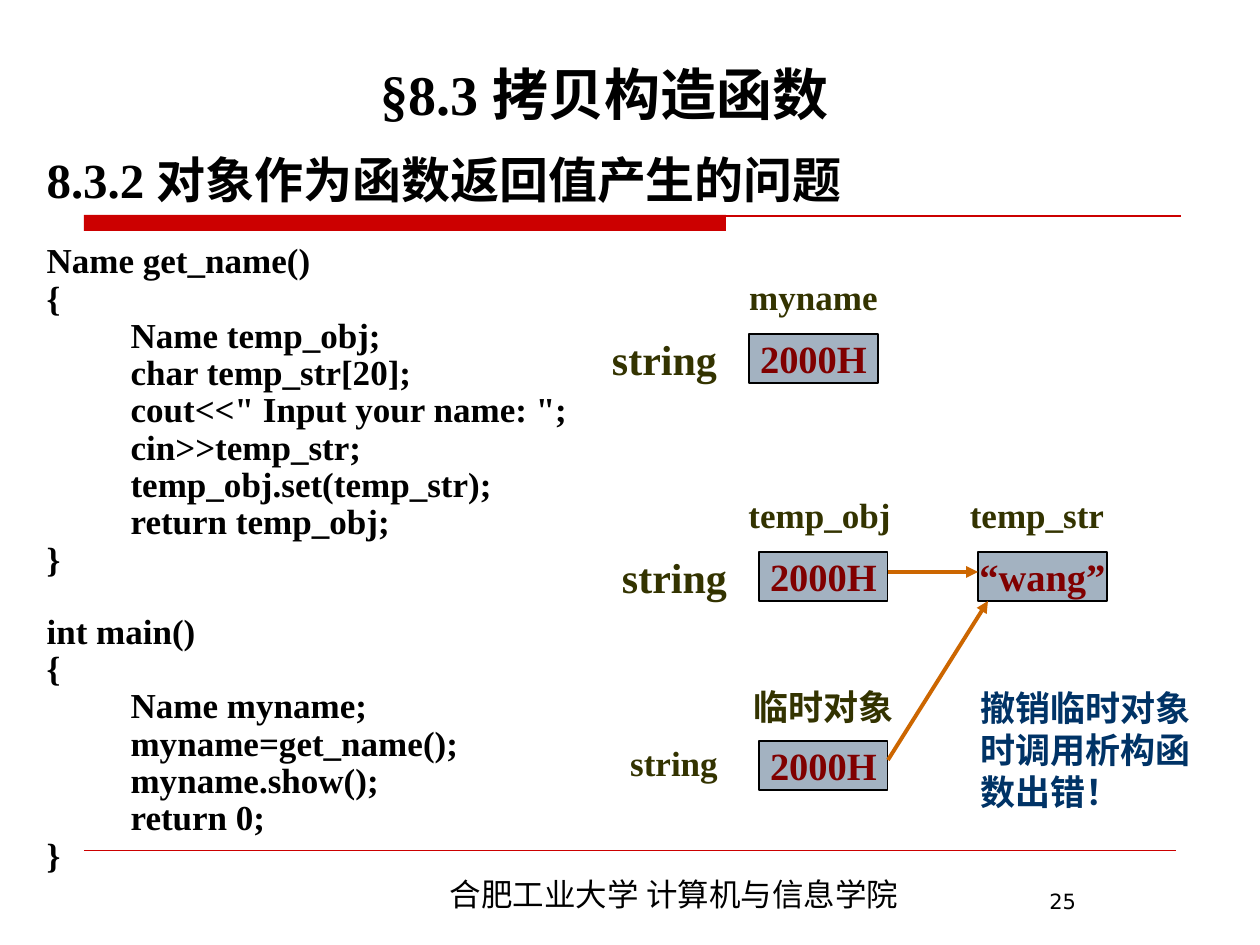
"""Build the slide on returning objects by value in C++."""
from lxml.etree import SubElement
from pptx import Presentation
from pptx.dml.color import RGBColor
from pptx.enum.shapes import MSO_CONNECTOR, MSO_SHAPE
from pptx.enum.text import MSO_ANCHOR, MSO_AUTO_SIZE, PP_ALIGN
from pptx.oxml.ns import qn
from pptx.util import Inches, Pt

PX = Inches(1) / 126
BLACK = RGBColor(0x00, 0x00, 0x00)
RED = RGBColor(0xCC, 0x00, 0x00)
OLIVE = RGBColor(0x33, 0x33, 0x00)
NAVY = RGBColor(0x00, 0x33, 0x66)
MAROON = RGBColor(0x80, 0x00, 0x00)
STEEL = RGBColor(0xA3, 0xB2, 0xC1)
ORANGE = RGBColor(0xCC, 0x66, 0x00)
SERIF = "Times New Roman"
CJK = "Noto Sans CJK SC"

HEADING = "8.3.2 对象作为函数返回值产生的问题"
CODE = """Name get_name()
{
\tName temp_obj;
\tchar temp_str[20];
\tcout<<" Input your name: ";
\tcin>>temp_str;
\ttemp_obj.set(temp_str);
\treturn temp_obj;
}

int main()
{
\tName myname;
\tmyname=get_name();
\tmyname.show();
\treturn 0;
}"""


def add_run(p, text, size, color, font=SERIF, bold=True):
    r = p.add_run()
    r.text = text
    r.font.size, r.font.bold, r.font.name = Pt(size), bold, font
    r.font.color.rgb = color
    SubElement(r._r.get_or_add_rPr(), qn("a:ea"), typeface=CJK)


def add_line(x1, y1, x2, y2, color, width, arrow=False):
    s = sp.add_connector(MSO_CONNECTOR.STRAIGHT, *[int(v * PX) for v in (x1, y1, x2, y2)])
    s.line.color.rgb, s.line.width = color, Pt(width)
    if arrow:
        SubElement(s.line._get_or_add_ln(), qn("a:tailEnd"), type="triangle")
    SubElement(s._element.spPr, qn("a:effectLst"))


prs = Presentation()
prs.slide_width, prs.slide_height = Inches(10), Inches(7.5)
s = prs.slides.add_slide(prs.slide_layouts[1])
sp = s.shapes
title, body = sp.title, s.placeholders[1]

bar = sp.add_shape(MSO_SHAPE.RECTANGLE, *[int(v * PX) for v in (84, 215, 642, 16)])
bar.shadow.inherit = False
bar.fill.solid()
bar.fill.fore_color.rgb = RED
bar.line.fill.background()
add_line(84, 216, 1181, 216, RED, 0.75)
add_line(84, 850, 1176, 850, RED, 0.25)

for ph, box in ((title, (74, 35, 1074, 98)), (body, (34, 155, 1200, 743))):
    ph.left, ph.top, ph.width, ph.height = [int(v * PX) for v in box]
    ph.text_frame.auto_size = MSO_AUTO_SIZE.NONE

title.text_frame.vertical_anchor = MSO_ANCHOR.BOTTOM
p = title.text_frame.paragraphs[0]
p.alignment = PP_ALIGN.CENTER
add_run(p, "§8.3 拷贝构造函数 ", 32, BLACK)

tf = body.text_frame
tf.vertical_anchor = MSO_ANCHOR.TOP
blocks = [[HEADING]] + [block.split("\n") for block in CODE.split("\n\n")]
for b, block in enumerate(blocks):
    for i, line in enumerate(block):
        p = tf.add_paragraph() if b else tf.paragraphs[0]
        pPr = p._p.get_or_add_pPr()
        pPr.set("marL", str(int(84 * PX) if line.startswith("\t") else 0))
        pPr.set("indent", "0")
        SubElement(pPr, qn("a:buNone"))
        p.line_spacing = 0.8
        p.space_before = Pt(0 if not b else 2.1 if i else 22)
        add_run(p, line.strip(), 20 if b else 28, BLACK)

boxes = [
    (749, 334, "2000H"),
    (759, 552, "2000H"),
    (978, 552, "“wang”"),
    (759, 741, "2000H"),
]
for x, y, text in boxes:
    box = sp.add_shape(MSO_SHAPE.RECTANGLE, *[int(v * PX) for v in (x, y, 129, 49)])
    box.shadow.inherit = False
    box.fill.solid()
    box.fill.fore_color.rgb = STEEL
    box.line.color.rgb, box.line.width = BLACK, Pt(0.75)
    tf = box.text_frame
    tf.margin_left = tf.margin_right = tf.margin_top = tf.margin_bottom = 0
    tf.word_wrap = False
    tf.vertical_anchor = MSO_ANCHOR.MIDDLE
    p = tf.paragraphs[0]
    p.alignment = PP_ALIGN.CENTER
    add_run(p, text, 22, MAROON)

add_line(888, 572, 978, 572, ORANGE, 2.25, True)
add_line(888, 760, 988, 601, ORANGE, 2.25, True)

labels = [
    (749, 275, 129, 42, "myname", 20),
    (600, 334, 129, 50, "string", 24),
    (740, 493, 159, 42, "temp_obj", 20),
    (610, 552, 129, 50, "string", 24),
    (968, 493, 138, 42, "temp_str", 20),
    (540, 741, 268, 42, "string", 20),
    (741, 686, 165, 50, "临时对象", 20),
]
for x, y, w, h, text, size in labels:
    tf = sp.add_textbox(*[int(v * PX) for v in (x, y, w, h)]).text_frame
    tf.margin_left = tf.margin_right = tf.margin_top = tf.margin_bottom = 0
    tf.word_wrap = True
    p = tf.paragraphs[0]
    p.alignment = PP_ALIGN.CENTER
    add_run(p, text, size, OLIVE)

notes = [
    (968, 680, 248, 139, "撤销临时对象时调用析构函数出错！", 20, NAVY, "Roboto", True, PP_ALIGN.LEFT),
    (292, 869, 764, 50, "合肥工业大学 计算机与信息学院", 18, BLACK, CJK, False, PP_ALIGN.CENTER),
    (1037, 882, 189, 37, "25", 12, BLACK, "DejaVu Sans", False, PP_ALIGN.LEFT),
]
for x, y, w, h, text, size, color, font, bold, align in notes:
    tf = sp.add_textbox(*[int(v * PX) for v in (x, y, w, h)]).text_frame
    tf.word_wrap = True
    p = tf.paragraphs[0]
    p.alignment = align
    add_run(p, text, size, color, font, bold)

prs.save("out.pptx")
